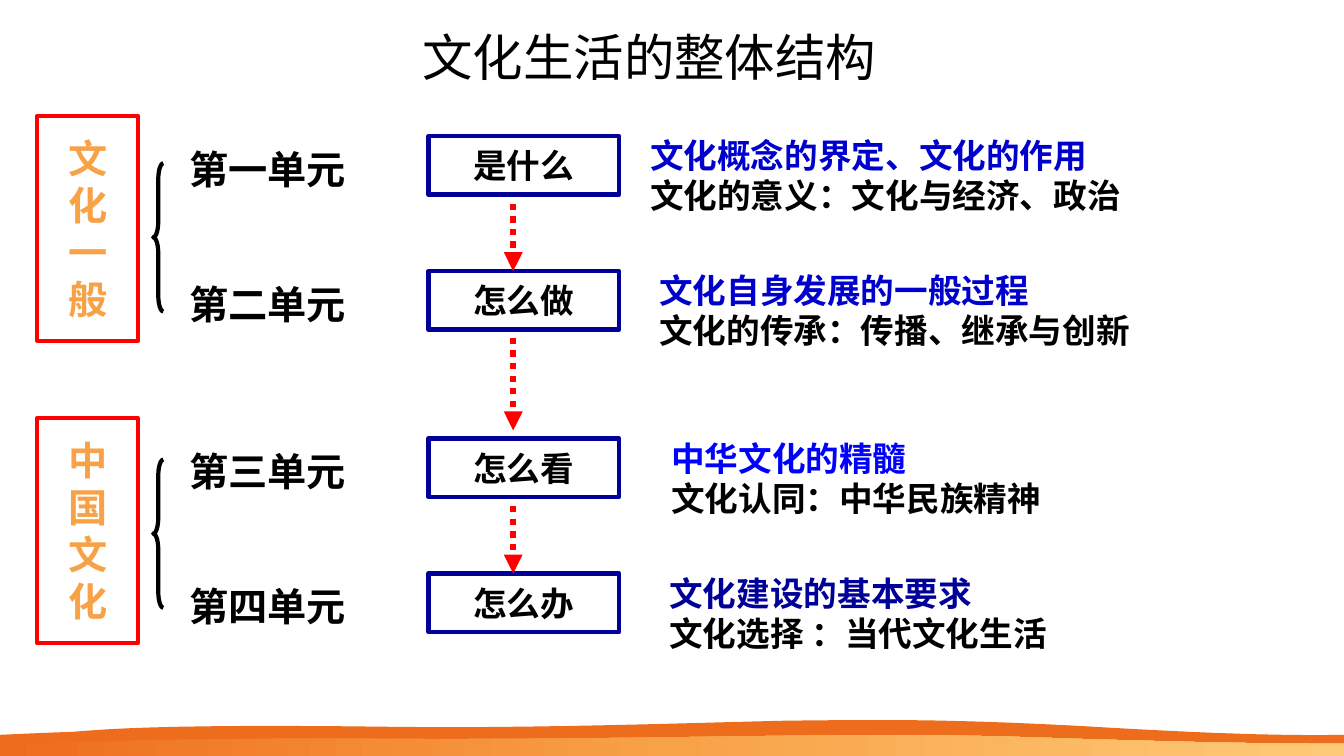
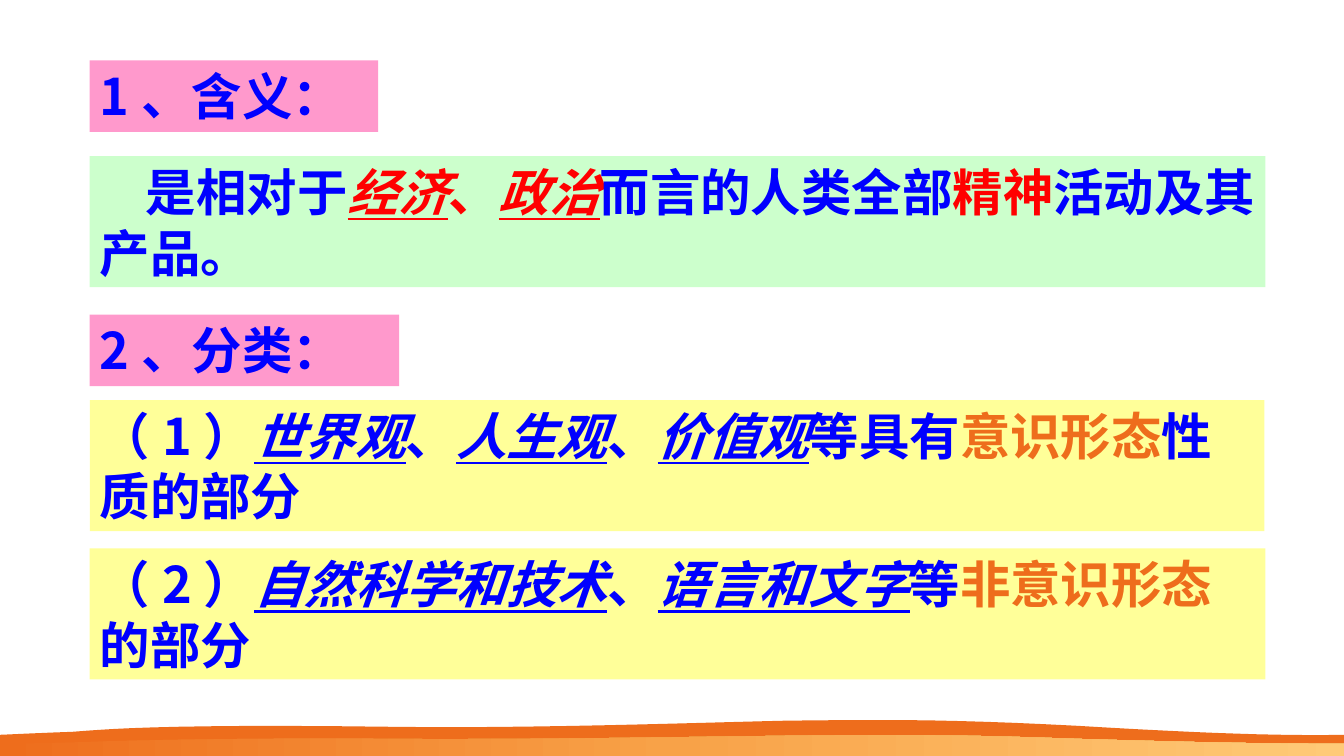
from lxml.etree import SubElement
from pptx import Presentation
from pptx.dml.color import RGBColor
from pptx.enum.dml import MSO_LINE
from pptx.enum.shapes import MSO_CONNECTOR, MSO_SHAPE
from pptx.enum.text import MSO_ANCHOR, PP_ALIGN
from pptx.oxml.ns import qn
from pptx.util import Inches, Pt

# Shared look
WIDTH, HEIGHT = 13.33, 7.5
SANS_JP, SANS_SC = "Noto Sans CJK JP", "Noto Sans CJK SC"
BLACK, RED, BLUE, NAVY = "000000", "FF0000", "0000FF", "000099"
DEEP_BLUE, ORANGE, AMBER, SAND = "0000CC", "EE6D1C", "F8A248", "FFCA77"
PINK, GREEN, YELLOW = "FF99CC", "CCFFCC", "FFFF99"

# Upper edges of the footer waves: start, then (control, control, end) triples
BACK_WAVE = [
    (0, 7.29),
    [(0, 7.29), (0.44, 7.27), (0.72, 7.26)],
    [(1.01, 7.24), (1.52, 7.18), (3.85, 7.21)],
    [(5.23, 7.23), (6.89, 7.17), (7.79, 7.15)],
    [(8.69, 7.14), (9.33, 7.13), (10.67, 7.2)],
    [(12.02, 7.28), (12.71, 7.3), (WIDTH, 7.29)],
]
FRONT_WAVE = [
    (0, 7.38),
    [(0, 7.38), (0.58, 7.37), (0.87, 7.36)],
    [(1.15, 7.35), (2.2, 7.32), (3.87, 7.33)],
    [(5.24, 7.34), (6.85, 7.31), (7.74, 7.3)],
    [(8.64, 7.29), (9.33, 7.28), (10.67, 7.33)],
    [(12.02, 7.37), (12.72, 7.38), (WIDTH, 7.38)],
]

# Slide 1: tag, then per unit: name, question, answer left, answer colour, lines
GROUPS = [
    ("文化一般", 1.62, [
        ("第一单元", "是什么", 6.35, DEEP_BLUE,
         ["文化概念的界定、文化的作用", "文化的意义：文化与经济、政治"]),
        ("第二单元", "怎么做", 6.44, DEEP_BLUE,
         ["文化自身发展的一般过程", "文化的传承：传播、继承与创新"]),
    ]),
    ("中国文化", 4.56, [
        ("第三单元", "怎么看", 6.56, BLUE,
         ["中华文化的精髓", "文化认同：中华民族精神"]),
        ("第四单元", "怎么办", 6.54, NAVY,
         ["文化建设的基本要求", "文化选择 ：当代文化生活"]),
    ]),
]

# Slide 2: run styles as (colour, italic and underlined)
PLAIN, TERM = (BLUE, False), (BLUE, True)
RED_PLAIN, RED_TERM, ACCENT = (RED, False), (RED, True), (ORANGE, False)
# top, width, height, fill, font, first-line indent, runs
PANELS = [
    (0.6, 2.86, 0.71, PINK, SANS_JP, 0, [("1、含义：", PLAIN)]),
    (1.55, 11.66, 1.3, GREEN, "Arial", 0.46, [
        ("是相对于", PLAIN), ("经济", RED_TERM), ("、", RED_PLAIN),
        ("政治", RED_TERM), ("而言的人类全部", PLAIN), ("精神", RED_PLAIN),
        ("活动及其产品。", PLAIN)]),
    (3.12, 3.07, 0.71, PINK, SANS_JP, 0, [("2、分类：", PLAIN)]),
    (3.97, 11.65, 1.3, YELLOW, SANS_JP, 0, [
        ("（1）", PLAIN), ("世界观", TERM), ("、", PLAIN), ("人生观", TERM),
        ("、", PLAIN), ("价值观", TERM), ("等具有", PLAIN),
        ("意识形态", ACCENT), ("性质的部分", PLAIN)]),
    (5.44, 11.66, 1.3, YELLOW, SANS_JP, 0, [
        ("（2）", PLAIN), ("自然科学和技术", TERM), ("、", PLAIN),
        ("语言和文字", TERM), ("等", PLAIN), ("非意识形态", ACCENT),
        ("的部分", PLAIN)]),
]


def rgb(value):
    return RGBColor.from_string(value)


def box(left, top, width, height):
    return [Inches(v) for v in (left, top, width, height)]


def style_run(run, size, color, font, bold=True):
    run.font.size, run.font.bold = Pt(size), bold
    run.font.color.rgb = rgb(color)
    run.font.name = font
    east_asian = font if font.startswith("Noto") else SANS_SC
    SubElement(run._r.get_or_add_rPr(), qn("a:ea")).set("typeface", east_asian)


def write(shape, lines, size, colors, font, align=PP_ALIGN.LEFT, bold=True):
    """Write one paragraph per line, each in its own colour."""
    frame = shape.text_frame
    frame.word_wrap = False
    frame.text = "\n".join(lines)
    for paragraph, color in zip(frame.paragraphs, colors):
        paragraph.alignment = align
        for run in paragraph.runs:
            style_run(run, size, color, font, bold)


def add_preset(slide, preset, bounds, fill=None, line=None):
    shape = slide.shapes.add_shape(preset, *box(*bounds))
    shape.shadow.inherit = False
    if fill:
        shape.fill.solid()
        shape.fill.fore_color.rgb = rgb(fill)
    else:
        shape.fill.background()
    if line:
        shape.line.color.rgb = rgb(line)
        shape.line.width = Pt(3)
    else:
        shape.line.fill.background()
    return shape


# Footer waves
def curve_points(edge, steps=12):
    start, *curves = edge
    points = [start]
    for first, second, end in curves:
        begin = points[-1]
        for step in range(1, steps + 1):
            t = step / steps
            weights = ((1 - t) ** 3, 3 * t * (1 - t) ** 2, 3 * t * t * (1 - t), t ** 3)
            corners = (begin, first, second, end)
            points.append(tuple(sum(w * c[axis] for w, c in zip(weights, corners))
                                for axis in (0, 1)))
    return points


def add_wave(slide, edge):
    outline = [(Inches(x), Inches(y)) for x, y in
               curve_points(edge) + [(WIDTH, HEIGHT), (0, HEIGHT)]]
    builder = slide.shapes.build_freeform(*outline[0])
    builder.add_line_segments(outline[1:], close=True)
    wave = builder.convert_to_shape()
    wave.shadow.inherit = False
    wave.line.fill.background()
    return wave


def add_footer_to_master(prs, slide):
    """Draw the waves on a slide and move them to the master."""
    back = add_wave(slide, BACK_WAVE)
    back.fill.solid()
    back.fill.fore_color.rgb = rgb(ORANGE)
    front = add_wave(slide, FRONT_WAVE)
    front.fill.gradient()
    front.fill.gradient_angle = 0
    stops = front._element.spPr.find(qn("a:gradFill")).find(qn("a:gsLst"))
    for stop in list(stops):
        stops.remove(stop)
    for position, color in ((0, ORANGE), (50, AMBER), (100, SAND)):
        stop = SubElement(stops, qn("a:gs"))
        stop.set("pos", str(position * 1000))
        SubElement(stop, qn("a:srgbClr")).set("val", color)
    for wave in (back, front):
        prs.slide_master.shapes.element.append(wave._element)


# Slide 1: overall structure
def add_arrow(slide, x, top, bottom):
    arrow = slide.shapes.add_connector(
        MSO_CONNECTOR.STRAIGHT, Inches(x), Inches(top), Inches(x), Inches(bottom))
    arrow.line.color.rgb = rgb(RED)
    arrow.line.width = Pt(4.5)
    arrow.line.dash_style = MSO_LINE.ROUND_DOT
    SubElement(arrow.line._get_or_add_ln(), qn("a:tailEnd")).set("type", "triangle")
    SubElement(arrow._element.spPr, qn("a:effectLst"))


def add_unit(slide, top, unit):
    name, question, answer_left, color, answer = unit
    label = slide.shapes.add_textbox(*box(1.78, top + 0.04, 1.87, 0.57))
    write(label, [name], 28, [BLACK], SANS_JP)
    step = add_preset(slide, MSO_SHAPE.RECTANGLE, (4.25, top, 1.89, 0.58), line=NAVY)
    step.text_frame.vertical_anchor = MSO_ANCHOR.MIDDLE
    write(step, [question], 24, [BLACK], SANS_SC, PP_ALIGN.CENTER)
    detail = slide.shapes.add_textbox(*box(answer_left, top - 0.06, 4.91, 0.91))
    write(detail, answer, 24, [color, BLACK], SANS_JP)


def add_group(slide, top, group):
    name, brace_top, units = group
    tag = add_preset(slide, MSO_SHAPE.RECTANGLE, (0.37, top, 1, 2.23), line=RED)
    tag.text_frame.vertical_anchor = MSO_ANCHOR.MIDDLE
    write(tag, name, 28, [AMBER] * len(name), "Times New Roman", PP_ALIGN.CENTER)
    brace = add_preset(slide, MSO_SHAPE.LEFT_BRACE, (1.52, brace_top, 0.1, 1.47),
                       line=BLACK)
    brace.adjustments[0] = 1.57
    for index, unit in enumerate(units):
        add_unit(slide, top + 0.2 + index * 1.34, unit)
    add_arrow(slide, 5.09, top + 0.87, top + 1.54)


def fill_structure_slide(slide):
    title = slide.shapes.add_textbox(*box(3.38, 0.21, 6.12, 0.67))
    write(title, ["文化生活的整体结构"], 36, [BLACK], SANS_SC, PP_ALIGN.CENTER, bold=False)
    for index, group in enumerate(GROUPS):
        add_group(slide, 1.15 + index * 3, group)
    add_arrow(slide, 5.09, 3.35, 4.27)


# Slide 2: meaning and classes
def add_panel(slide, left, panel):
    top, width, height, fill, font, indent, runs = panel
    shape = add_preset(slide, MSO_SHAPE.RECTANGLE, (left, top, width, height), fill)
    shape.text_frame.word_wrap = True
    shape.text_frame.vertical_anchor = MSO_ANCHOR.TOP
    paragraph = shape.text_frame.paragraphs[0]
    paragraph.alignment = PP_ALIGN.LEFT
    paragraph._p.get_or_add_pPr().set("indent", str(Inches(indent)))
    for text, (color, term) in runs:
        run = paragraph.add_run()
        run.text = text
        style_run(run, 36, color, font)
        run.font.italic = run.font.underline = term


def fill_meaning_slide(slide):
    for panel in PANELS:
        add_panel(slide, 0.89, panel)


def main():
    prs = Presentation()
    prs.slide_width, prs.slide_height = Inches(WIDTH), Inches(HEIGHT)
    blank = prs.slide_layouts[6]
    structure, meaning = (prs.slides.add_slide(blank) for _ in range(2))
    add_footer_to_master(prs, structure)
    fill_structure_slide(structure)
    fill_meaning_slide(meaning)
    prs.save("out.pptx")


if __name__ == "__main__":
    main()
